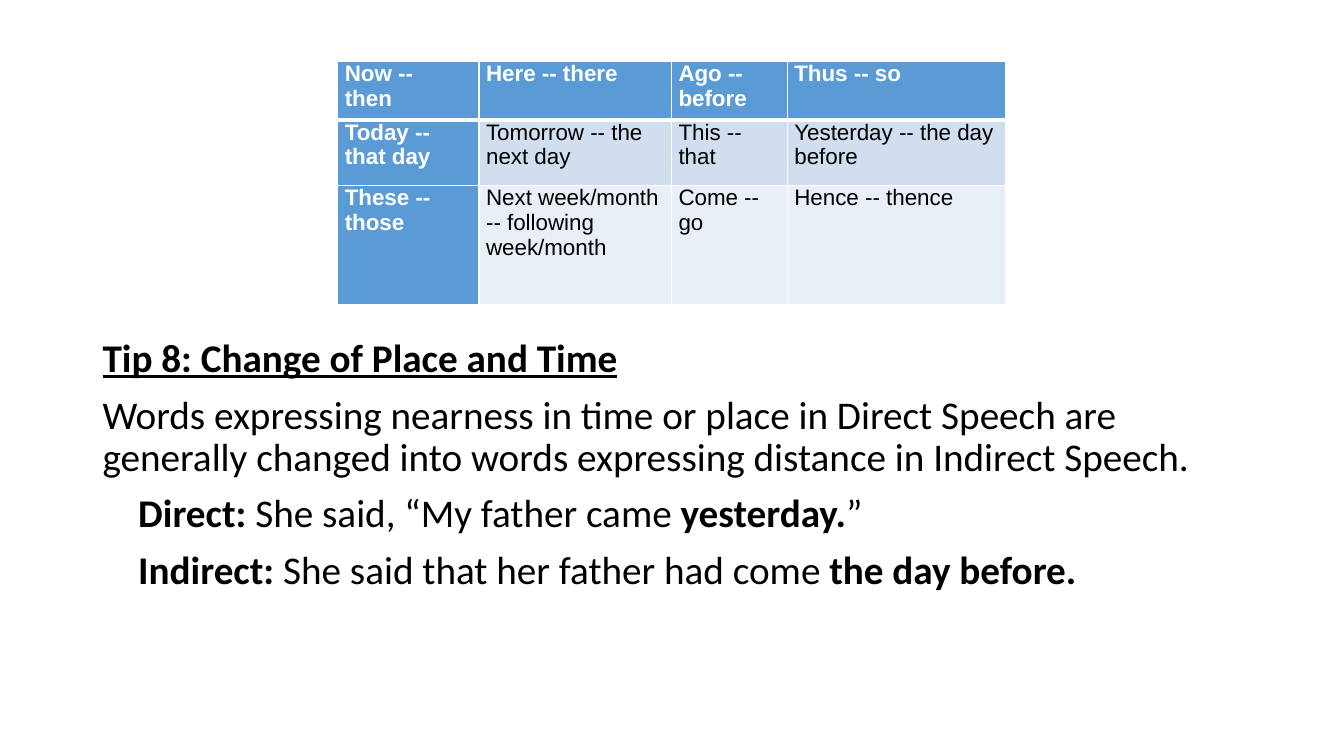
import dataclasses

import lxml.etree
import pptx
import pptx.dml.color
import pptx.enum.text
import pptx.oxml.ns
import pptx.util

Cm = pptx.util.Cm
Pt = pptx.util.Pt
qn = pptx.oxml.ns.qn


@dataclasses.dataclass(frozen=True)
class Theme:
    header: str = "5B9BD5"
    bands: tuple = ("D0DEEF", "E9EFF7")
    border: str = "FFFFFF"
    light: str = "FFFFFF"
    dark: str = "000000"
    table_font: str = "Arial"
    body_font: str = "Calibri"
    table_size: int = 16
    body_size: int = 28
    thin: int = 1
    thick: int = 3


THEME = Theme()

WORD_CHANGES = [
    ["Now --\vthen", "Here -- there", "Ago -- before", "Thus -- so"],
    ["Today -- that day", "Tomorrow -- the next day", "This --\vthat",
     "Yesterday -- the day before"],
    ["These -- those", "Next week/month -- following week/month",
     "Come --\vgo", "Hence -- thence"],
]
COLUMN_WIDTHS = [3.56, 4.85, 2.92, 5.51]
ROW_HEIGHTS = [1.47, 1.65, 3]

BOLD = {"bold": True}
PLAIN = {"bold": False}
TIP = [
    (0, [("Tip 8: Change of Place and Time", {"bold": True, "underline": True})]),
    (0, [("Words expressing nearness in time or place in Direct Speech are generally "
          "changed into words expressing distance in Indirect Speech.", PLAIN)]),
    (0.9, [("Direct: ", BOLD), ("She said, “My father came ", PLAIN),
           ("yesterday.", BOLD), ("”", PLAIN)]),
    (0.9, [("Indirect: ", BOLD), ("She said that her father had come ", PLAIN),
           ("the day before.", BOLD)]),
]


def apply(target, values):
    for name, value in values.items():
        setattr(target, name, value)


def format_font(font, color, values):
    apply(font, values)
    font.color.rgb = pptx.dml.color.RGBColor.from_string(color)


def add_borders(cell, widths):
    properties = cell._tc.get_or_add_tcPr()
    for side, width in widths.items():
        line = lxml.etree.SubElement(properties, qn(f"a:ln{side}"), w=str(Pt(width)))
        fill = lxml.etree.SubElement(line, qn("a:solidFill"))
        lxml.etree.SubElement(fill, qn("a:srgbClr"), val=THEME.border)


def fill_cell(cell, text, row, column):
    heading = row == 0 or column == 0
    apply(cell, {"text": text, "margin_left": Cm(0.18), "margin_right": Cm(0.18),
                 "margin_top": 0, "margin_bottom": 0})
    add_borders(cell, {"L": THEME.thin, "R": THEME.thin,
                       "T": THEME.thick if row == 1 else THEME.thin,
                       "B": THEME.thick if row == 0 else THEME.thin})
    cell.fill.solid()
    color = THEME.header if heading else THEME.bands[row - 1]
    cell.fill.fore_color.rgb = pptx.dml.color.RGBColor.from_string(color)
    for run in cell.text_frame.paragraphs[0].runs:
        format_font(run.font, THEME.light if heading else THEME.dark,
                    {"name": THEME.table_font, "size": Pt(THEME.table_size),
                     "bold": heading})


def add_word_table(slide, left, top):
    table = slide.shapes.add_table(
        len(ROW_HEIGHTS), len(COLUMN_WIDTHS), Cm(left), Cm(top),
        Cm(sum(COLUMN_WIDTHS)), Cm(sum(ROW_HEIGHTS))).table
    for column, width in zip(table.columns, COLUMN_WIDTHS):
        column.width = Cm(width)
    for row, height in zip(table.rows, ROW_HEIGHTS):
        row.height = Cm(height)
    for row, texts in enumerate(WORD_CHANGES):
        for column, text in enumerate(texts):
            fill_cell(table.cell(row, column), text, row, column)


def fill_tip(body, left, top, width, height):
    apply(body, {"left": Cm(left), "top": Cm(top),
                 "width": Cm(width), "height": Cm(height)})
    frame = body.text_frame
    apply(frame, {"word_wrap": True, "auto_size": pptx.enum.text.MSO_AUTO_SIZE.NONE,
                  "vertical_anchor": pptx.enum.text.MSO_ANCHOR.TOP})
    for index, (indent, runs) in enumerate(TIP):
        paragraph = frame.add_paragraph() if index else frame.paragraphs[0]
        apply(paragraph, {"line_spacing": 0.9, "space_before": Pt(10 if index else 0)})
        properties = paragraph._p.get_or_add_pPr()
        properties.set("marL", str(Cm(indent)))
        properties.set("indent", "0")
        lxml.etree.SubElement(properties, qn("a:buNone"))
        for text, emphasis in runs:
            run = paragraph.add_run()
            run.text = text
            format_font(run.font, THEME.dark,
                        {"name": THEME.body_font, "size": Pt(THEME.body_size), **emphasis})


def main():
    presentation = pptx.Presentation()
    apply(presentation, {"slide_width": Cm(33.87), "slide_height": Cm(19.05)})
    slide = presentation.slides.add_slide(
        presentation.slide_layouts.get_by_name("Title and Content"))
    title = slide.shapes.title.element
    title.getparent().remove(title)
    fill_tip(slide.placeholders[1], 2.33, 8.41, 29.21, 8.76)
    add_word_table(slide, 8.51, 1.55)
    presentation.save("out.pptx")


if __name__ == "__main__":
    main()
